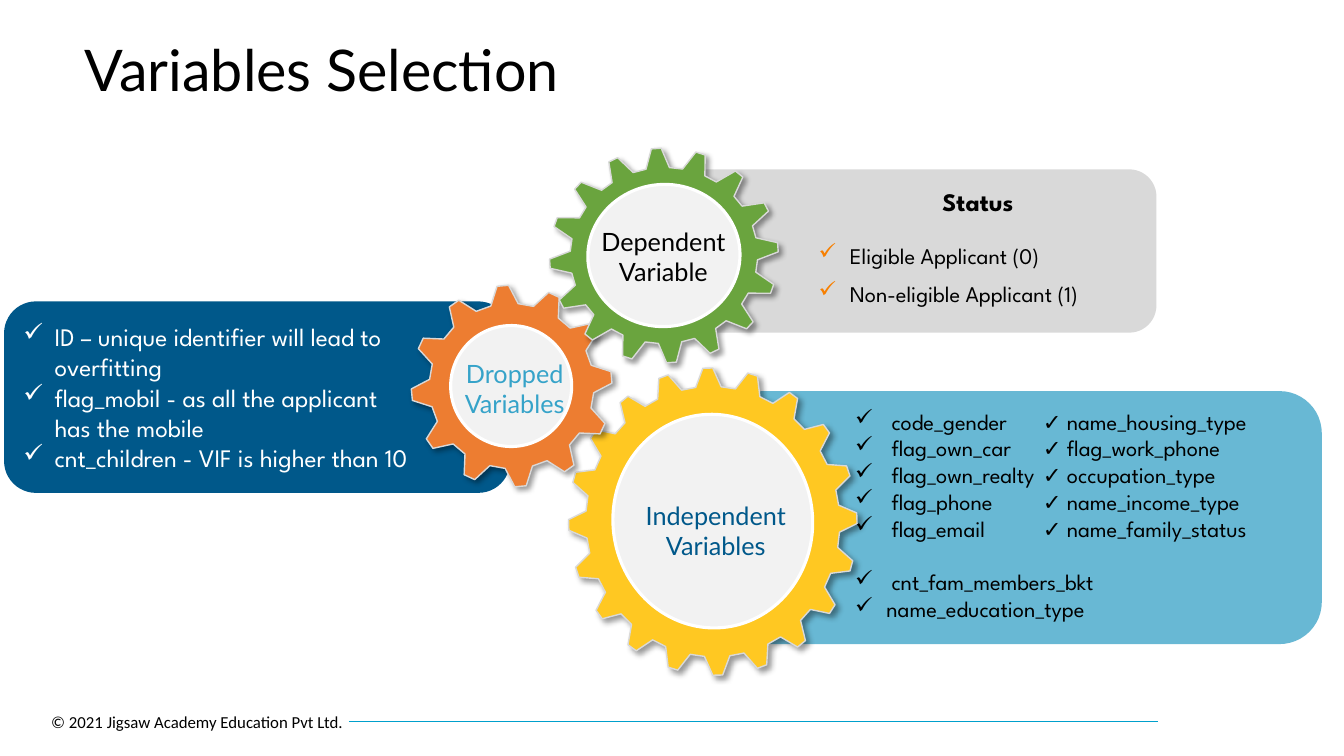
from math import cos, radians, sin

from lxml import etree
from pptx import Presentation
from pptx import util as u
from pptx.dml.color import RGBColor
from pptx.enum import shapes, text
from pptx.oxml import ns

PX = 9144  # 100 px to the inch
COLORS = {
    "black": "000000", "white": "FFFFFF", "navy": "00588A", "sky": "68B8D4",
    "gray": "D9D9D9", "face": "F2F2F2", "cyan": "36A3C9", "rule": "00A0CC",
    "gold": "FFC822", "orange": "ED7D31", "green": "6AA43E", "tick": "F77F00",
}
KIND = shapes.MSO_SHAPE
MID, LEFT = text.MSO_ANCHOR.MIDDLE, text.PP_ALIGN.LEFT
CENTER = text.PP_ALIGN.CENTER


def rgb(name):
    return RGBColor.from_string(COLORS[name])


def emu(box):
    return [n * PX for n in box]


def node(parent, tag, **attrs):
    return etree.SubElement(parent, ns.qn("a:" + tag), attrs)


def paint(shape, fill, line=None, width=1):
    shape.shadow.inherit = False
    shape.fill.solid()
    shape.fill.fore_color.rgb = rgb(fill)
    if line:
        shape.line.color.rgb = rgb(line)
        shape.line.width = u.Pt(width)
    else:
        shape.line.fill.background()


def tick(para, color, indent, tab=None):
    """Hang a check mark before the paragraph, with an optional tab stop."""
    props = para._p.get_or_add_pPr()
    props.set("marL", str(indent * PX))
    props.set("indent", str(-indent * PX))
    node(node(props, "buClr"), "srgbClr", val=COLORS[color])
    node(props, "buChar", char="✓")
    if tab:
        node(node(props, "tabLst"), "tab", pos=str(tab * PX), algn="l")


def frame(shape, pads):
    body = shape.text_frame
    sides = dict(zip(("left", "top", "right", "bottom"), emu(pads)))
    values = {"margin_" + side: size for side, size in sides.items()}
    values.update(word_wrap=True, vertical_anchor=MID)
    for name, value in values.items():
        setattr(body, name, value)
    return body


def write(para, words, size, font, color, bold=False, align=LEFT):
    para.alignment = align
    run = para.add_run()
    run.text = words
    values = {"size": u.Pt(size), "name": font, "bold": bold}
    for name, value in values.items():
        setattr(run.font, name, value)
    run.font.color.rgb = rgb(color)


def label(slide, box, words, size, font, color, pads=(6, 6, 6, 6), **style):
    body = frame(slide.shapes.add_textbox(*emu(box)), pads)
    write(body.paragraphs[0], words, size, font, color, **style)
    return body.paragraphs[0]


def checks(shape, pads, items, size, color, mark, tab=None):
    """Fill a shape with ticked items: (words, indent, space before)."""
    body = frame(shape, pads)
    for i, (words, indent, gap) in enumerate(items):
        para = body.add_paragraph() if i else body.paragraphs[0]
        tick(para, mark, indent, tab)
        if gap:
            para.space_before = u.Pt(gap)
        write(para, words, size, "League Spartan", color)


def card(slide, box, fill):
    shape = slide.shapes.add_shape(KIND.ROUNDED_RECTANGLE, *emu(box))
    paint(shape, fill)
    return shape


def gear(slide, box, teeth, phase, root, fill, turn, hub):
    """Draw a toothed wheel in the box, with a round face in the hub box."""
    x, y, w, h = box
    pitch = 360 / teeth
    corners = ((-0.32, root), (-0.11, 1), (0.11, 1), (0.32, root))
    points = []
    for i in range(teeth):
        for part, reach in corners:
            angle = radians(phase + (i + part) * pitch)
            points.append(((x + w / 2 * (1 + reach * cos(angle))) * PX,
                           (y + h / 2 * (1 + reach * sin(angle))) * PX))
    path = slide.shapes.build_freeform(*points[0])
    path.add_line_segments(points[1:], close=True)
    wheel = path.convert_to_shape()
    paint(wheel, fill, "gray")
    shade = node(wheel._element.spPr.find(ns.qn("a:effectLst")), "outerShdw",
                 blurRad=str(u.Pt(4)), dist=str(u.Pt(3)), dir="2700000",
                 algn="tl", rotWithShape="0")
    node(node(shade, "srgbClr", val=COLORS["black"]), "alpha", val="40000")
    face = slide.shapes.add_shape(KIND.OVAL, *emu(hub))
    paint(face, "face", "white", 2.25)
    wheel.rotation = face.rotation = turn


def footer(slide, box):
    x, y, w, h = box
    label(slide, (x, y, 313, h), "© 2021 Jigsaw Academy Education Pvt Ltd.",
          12, "Calibri", "black", (10, 5, 10, 5))
    ends = emu((x + 305, y + h // 2, x + w, y + h // 2))
    rule = slide.shapes.add_connector(shapes.MSO_CONNECTOR.STRAIGHT, *ends)
    rule.line.color.rgb = rgb("rule")
    rule.line.width = u.Pt(0.75)
    node(rule._element.spPr, "effectLst")


def dropped(slide, box):
    x, y, w, h = box
    items = [("ID – unique identifier will lead to overfitting", 31, 0),
             ("flag_mobil - as all the applicant has the mobile", 31, 0),
             ("cnt_children - VIF is higher than 10", 31, 0)]
    checks(card(slide, box, "navy"), (10, 5, 80, 5), items, 18,
           "white", "white")


def inputs(slide, box):
    x, y, w, h = box
    pairs = [("code_gender", "name_housing_type"),
             ("flag_own_car", "flag_work_phone"),
             ("flag_own_realty", "occupation_type"),
             ("flag_phone", "name_income_type"),
             ("flag_email", "name_family_status")]
    items = [(f"{one}\t✓ {two}", 36, 0) for one, two in pairs]
    items += [("cnt_fam_members_bkt", 36, 19), ("name_education_type", 31, 0)]
    checks(card(slide, box, "sky"), (120, 5, 10, 10), items, 16,
           "black", "black", 186)
    gear(slide, (x - 152, y - 23, 286, 305), 20, 4, 0.88, "gold", 354.4,
         (x - 108, y + 23, 198, 212))
    label(slide, (x - 94, y + 102, 176, 73), "Independent Variables", 18,
          "Lato", "navy", align=CENTER)


def dropgear(slide, box):
    x, y, w, h = box
    gear(slide, box, 12, 9, 0.82, "orange", 346, (x + 39, y + 40, 120, 120))
    label(slide, (x + 44, y + 68, 117, 68), "Dropped Variables", 18, "Lato",
          "cyan", (0, 0, 0, 0), align=CENTER)


def target(slide, box):
    x, y, w, h = box
    card(slide, box, "gray")
    gear(slide, (x - 131, y - 21, 227, 213), 16, 0.5, 0.82, "green", 355.4,
         (x - 93, y + 15, 151, 141))
    label(slide, (x - 90, y + 41, 144, 91), "Dependent Variable", 18, "Lato",
          "black", align=CENTER)
    area = slide.shapes.add_textbox(*emu((x + 130, y + 70, 354, 69)))
    items = [("Eligible Applicant (0)", 31, 0),
             ("Non-eligible Applicant (1)", 31, 8)]
    checks(area, (6, 6, 6, 6), items, 16, "black", "tick")
    label(slide, (x + 117, y + 2, 354, 60), "Status", 18, "League Spartan",
          "black", bold=True, align=CENTER)


def main():
    deck = Presentation()
    deck.slide_width, deck.slide_height = emu((1333, 750))
    slide = deck.slides.add_slide(deck.slide_layouts[6])
    footer(slide, (41, 701, 1108, 30))
    dropped(slide, (4, 299, 502, 190))
    inputs(slide, (716, 388, 595, 251))
    dropgear(slide, (408, 283, 199, 200))
    title = label(slide, (74, 35, 1167, 75), "Variables Selection", 41,
                  "Lato", "black", (10, 5, 10, 5))
    title.line_spacing = 0.9
    target(slide, (676, 168, 471, 162))
    deck.save("out.pptx")


if __name__ == "__main__":
    main()
